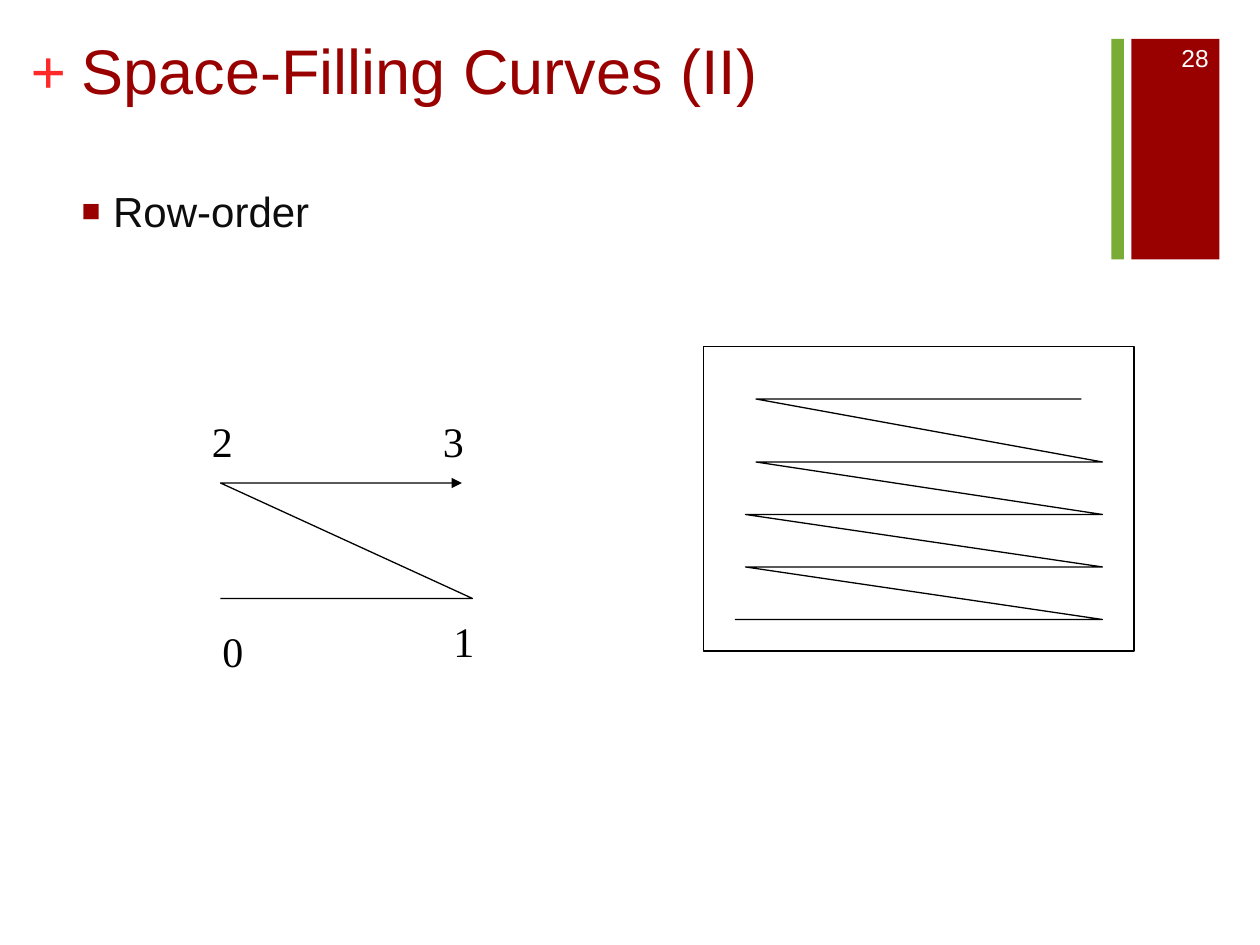
from dataclasses import dataclass
from typing import NamedTuple

from pptx import Presentation
from pptx.dml.color import RGBColor
from pptx.enum.shapes import MSO_SHAPE
from pptx.enum.text import MSO_ANCHOR, PP_ALIGN
from pptx.oxml.ns import qn
from pptx.util import Inches, Pt
from lxml.etree import SubElement


@dataclass(frozen=True)
class Theme:
    red: str = "990000"
    bright_red: str = "FF2929"
    green: str = "78AC35"
    ink: str = "000000"
    body_ink: str = "0D0D0D"
    white: str = "FFFFFF"
    sans: str = "Arial"
    serif: str = "Times New Roman"
    title_size: int = 36
    body_size: int = 24
    number_size: int = 14
    line_width: float = 0.75


class Box(NamedTuple):
    """A place on the grid, in columns and rows."""
    column: float
    row: float
    columns: float
    rows: float


class Style(NamedTuple):
    font: str
    size: int
    color: str
    bold: bool = False


class Label(NamedTuple):
    text: str
    column: float
    row: float


THEME = Theme()
COLUMNS, ROWS = 120, 90
WIDTH, HEIGHT = Inches(10), Inches(7.5)

CORNER_LABELS = [Label("0", 20, 59), Label("1", 42, 58),
                 Label("3", 41, 39), Label("2", 19, 39)]
CELL_CURVE = [(21, 57), (45, 57), (21, 46), (44, 46)]
# Each row of the scan: grid row, first column, last column
SCAN_ROWS = [(59, 70, 105), (54, 71, 105), (49, 71, 105), (44, 72, 105), (38, 72, 103)]


def across(columns: float) -> int:
    return round(WIDTH * columns / COLUMNS)


def down(rows: float) -> int:
    return round(HEIGHT * rows / ROWS)


def place(box: Box) -> tuple[int, int, int, int]:
    return across(box.column), down(box.row), across(box.columns), down(box.rows)


def write(shape, text: str, style: Style, anchor=MSO_ANCHOR.TOP, align=PP_ALIGN.LEFT):
    frame = shape.text_frame
    frame.text = text
    frame.word_wrap = True
    frame.vertical_anchor = anchor
    paragraph = frame.paragraphs[0]
    paragraph.alignment = align
    font = paragraph.runs[0].font
    font.name, font.size, font.bold = style.font, Pt(style.size), style.bold
    font.color.rgb = RGBColor.from_string(style.color)
    return frame


def add_text(slide, box: Box, text: str, style: Style, **layout):
    return write(slide.shapes.add_textbox(*place(box)), text, style, **layout)


def add_bar(slide, box: Box, color: str) -> None:
    bar = slide.shapes.add_shape(MSO_SHAPE.RECTANGLE, *place(box))
    bar.shadow.inherit = False
    bar.fill.solid()
    bar.fill.fore_color.rgb = RGBColor.from_string(color)
    bar.line.fill.background()


def outline(shape) -> None:
    shape.shadow.inherit = False
    shape.fill.background()
    shape.line.color.rgb = RGBColor.from_string(THEME.ink)
    shape.line.width = Pt(THEME.line_width)


def add_curve(slide, points: list[tuple[float, float]], arrow: bool = False) -> None:
    start, *rest = [(across(column), down(row)) for column, row in points]
    builder = slide.shapes.build_freeform(*start)
    builder.add_line_segments(rest, close=False)
    curve = builder.convert_to_shape()
    outline(curve)
    if arrow:
        SubElement(curve.line._get_or_add_ln(), qn("a:tailEnd"), type="triangle")


def add_bullet(paragraph) -> None:
    properties = paragraph._p.get_or_add_pPr()
    properties.set("marL", str(Inches(0.25)))
    properties.set("indent", str(-Inches(0.25)))
    color = SubElement(properties, qn("a:buClr"))
    SubElement(color, qn("a:srgbClr"), val=THEME.red)
    SubElement(properties, qn("a:buSzPct"), val="75000")
    SubElement(properties, qn("a:buFont"), typeface=THEME.sans)
    SubElement(properties, qn("a:buChar"), char="■")


def main() -> None:
    presentation = Presentation()
    presentation.slide_width, presentation.slide_height = WIDTH, HEIGHT
    slide = presentation.slides.add_slide(presentation.slide_layouts[5])

    # Corner bars and plus sign
    add_bar(slide, Box(107.75, 3.7, 8.4, 21), THEME.red)
    add_bar(slide, Box(105.85, 3.7, 1.2, 21), THEME.green)
    plus = add_text(slide, Box(2.9, 3, 3.5, 7.7), "+",
                    Style(THEME.serif, THEME.title_size, THEME.bright_red, True))
    plus.margin_left = plus.margin_right = plus.margin_top = plus.margin_bottom = 0
    plus.word_wrap = False

    # Title and bullet
    title = slide.shapes.title
    title.left, title.top, title.width, title.height = place(Box(6.6, 2.4, 99.1, 14.65))
    write(title, "Space-Filling Curves (II)",
          Style(THEME.sans, THEME.title_size, THEME.red))
    body = add_text(slide, Box(6.6, 17.05, 99.1, 65), "Row-order",
                    Style(THEME.sans, THEME.body_size, THEME.body_ink))
    add_bullet(body.paragraphs[0])

    # Framed scan of many rows
    frame = slide.shapes.add_shape(MSO_SHAPE.RECTANGLE, *place(Box(67, 33, 41, 29)))
    outline(frame)
    add_curve(slide, [(column, row) for row, first, last in SCAN_ROWS
                      for column in (first, last)])

    # Basic two-row curve with numbered corners
    add_curve(slide, CELL_CURVE, arrow=True)
    for label in CORNER_LABELS:
        add_text(slide, Box(label.column, label.row, 6, 6), label.text,
                 Style(THEME.serif, THEME.body_size, THEME.ink))

    # Slide number
    add_text(slide, Box(109, 3.1, 7.3, 4.8), "28",
             Style(THEME.sans, THEME.number_size, THEME.white),
             anchor=MSO_ANCHOR.MIDDLE, align=PP_ALIGN.RIGHT)

    presentation.save("out.pptx")


if __name__ == "__main__":
    main()
